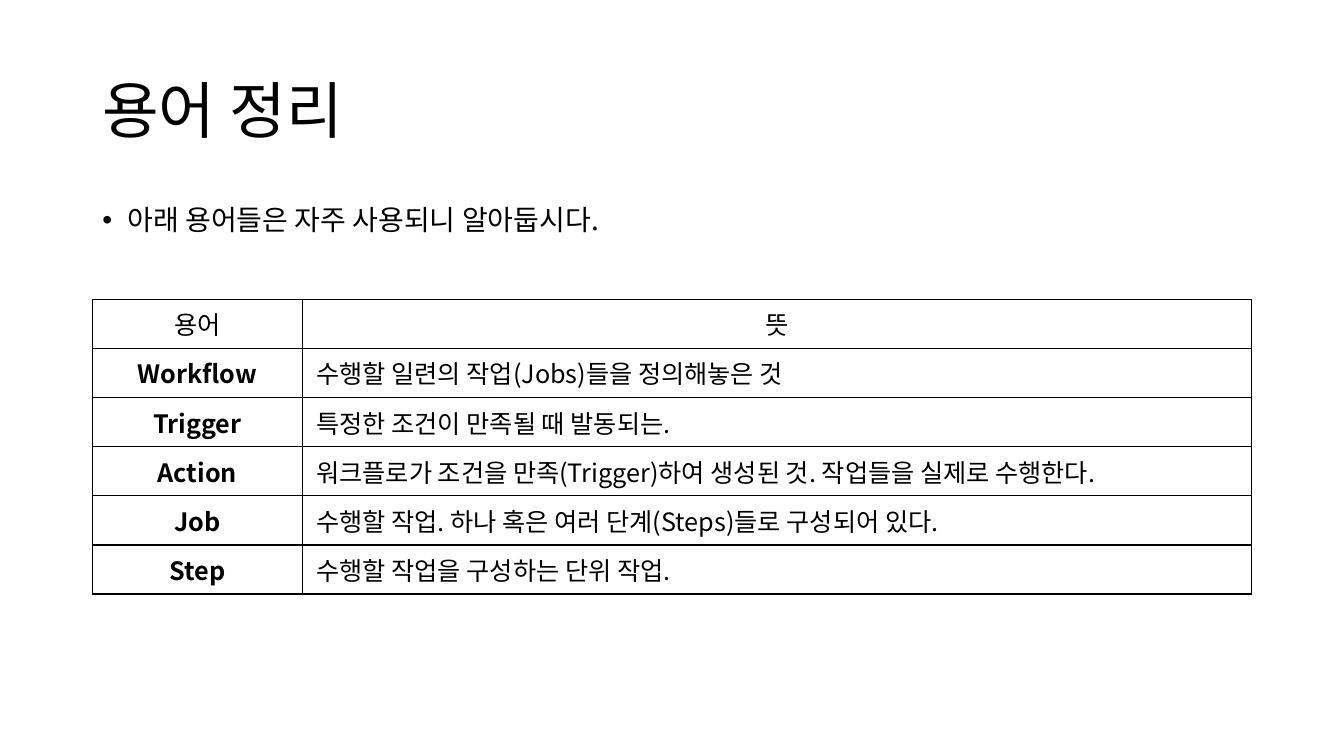
from lxml.etree import SubElement
from pptx import Presentation
from pptx.dml.color import RGBColor
from pptx.enum.text import MSO_ANCHOR as Anchor, PP_ALIGN as Align
from pptx.oxml import parse_xml
from pptx.oxml.ns import nsdecls, qn
from pptx.util import Pt

FONT = "Noto Sans CJK KR"
COLORS = {"ink": "000000", "paper": "FFFFFF"}
TERMS = [
    ("용어", "뜻"),
    ("Workflow", "수행할 일련의 작업(Jobs)들을 정의해놓은 것"),
    ("Trigger", "특정한 조건이 만족될 때 발동되는."),
    ("Action", "워크플로가 조건을 만족(Trigger)하여 생성된 것. 작업들을 실제로 수행한다."),
    ("Job", "수행할 작업. 하나 혹은 여러 단계(Steps)들로 구성되어 있다."),
    ("Step", "수행할 작업을 구성하는 단위 작업."),
]


def write(paragraph, text, size, bold=False):
    """Fill a paragraph, using the font for both Latin and Korean letters."""
    paragraph.text = text
    font = paragraph.font
    font.size, font.bold, font.name = Pt(size), bold, FONT
    font.color.rgb = RGBColor.from_string(COLORS["ink"])
    defaults = paragraph._p.pPr.find(qn("a:defRPr"))
    SubElement(defaults, qn("a:ea")).set("typeface", FONT)


def add_text(slide, box, text, size, anchor):
    frame = slide.shapes.add_textbox(*map(Pt, box)).text_frame
    frame.word_wrap = True
    frame.vertical_anchor = anchor
    paragraph = frame.paragraphs[0]
    write(paragraph, text, size)
    paragraph.line_spacing = 0.9
    return paragraph


def add_title(slide, box):
    add_text(slide, box, "용어 정리", 44, Anchor.MIDDLE)


def add_bullet(slide, box):
    paragraph = add_text(slide, box, "아래 용어들은 자주 사용되니 알아둡시다.", 20, Anchor.TOP)
    paragraph.space_before = Pt(10)
    properties = paragraph._p.pPr
    properties.set("marL", str(Pt(18)))
    properties.set("indent", str(Pt(-18)))
    defaults = properties.find(qn("a:defRPr"))
    defaults.addprevious(parse_xml(f'<a:buFont {nsdecls("a")} typeface="Arial"/>'))
    defaults.addprevious(parse_xml(f'<a:buChar {nsdecls("a")} char="•"/>'))


def style_cell(cell):
    cell.vertical_anchor = Anchor.MIDDLE
    cell.margin_left = cell.margin_right = Pt(10)
    cell.margin_top = cell.margin_bottom = Pt(4.5)
    cell.fill.solid()
    cell.fill.fore_color.rgb = RGBColor.from_string(COLORS["paper"])
    properties = cell._tc.get_or_add_tcPr()
    for index, side in enumerate("LRTB"):
        properties.insert(index, parse_xml(
            f'<a:ln{side} {nsdecls("a")} w="{Pt(1)}"><a:solidFill>'
            f'<a:srgbClr val="{COLORS["ink"]}"/></a:solidFill></a:ln{side}>'))


def add_terms(slide, box, term_width=150):
    left, top, width, height = box
    table = slide.shapes.add_table(len(TERMS), 2, *map(Pt, box)).table
    table.first_row = table.horz_banding = False
    table.columns[0].width = Pt(term_width)
    table.columns[1].width = Pt(width - term_width)
    for row, texts in enumerate(TERMS):
        table.rows[row].height = Pt(height / len(TERMS))
        for column, text in enumerate(texts):
            cell = table.cell(row, column)
            style_cell(cell)
            paragraph = cell.text_frame.paragraphs[0]
            is_term = column == 0
            write(paragraph, text, 18, bold=is_term and row > 0)
            paragraph.alignment = Align.CENTER if is_term or row == 0 else Align.LEFT


def main():
    presentation = Presentation()
    presentation.slide_width, presentation.slide_height = Pt(960), Pt(540)
    slide = presentation.slides.add_slide(presentation.slide_layouts[6])
    left, width = 66, 828
    add_title(slide, (left, 28.75, width, 104.4))
    add_bullet(slide, (left, 143.75, width, 342.6))
    add_terms(slide, (left, 213.75, width, 210.6))
    presentation.save("out.pptx")


if __name__ == "__main__":
    main()
